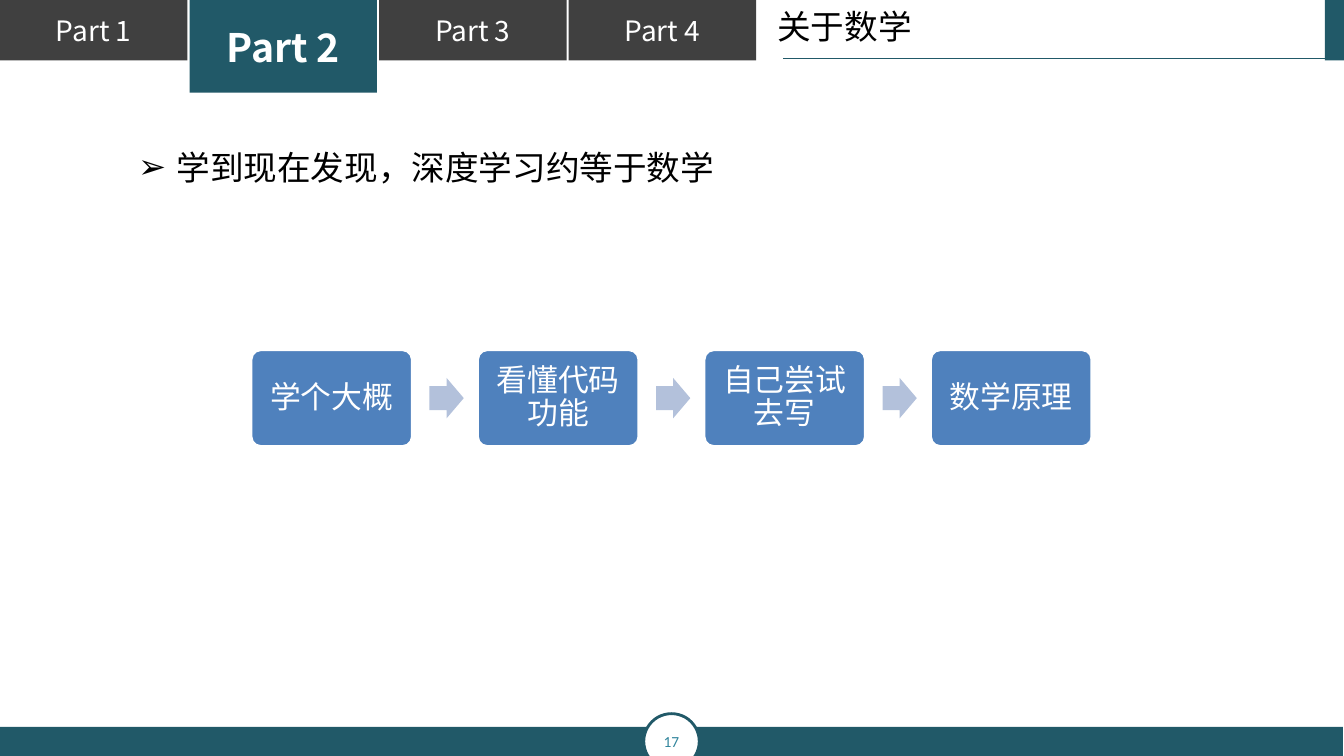
from lxml import etree
from pptx import Presentation
from pptx.dml.color import RGBColor
from pptx.enum.shapes import MSO_CONNECTOR, MSO_SHAPE
from pptx.enum.text import MSO_ANCHOR, MSO_AUTO_SIZE, PP_ALIGN
from pptx.oxml.ns import qn
from pptx.util import Inches, Pt

TEAL = RGBColor(0x21, 0x59, 0x68)
LIGHT_TEAL = RGBColor(0x31, 0x85, 0x9C)
DARK_GRAY = RGBColor(0x40, 0x40, 0x40)
BLUE = RGBColor(0x4F, 0x81, 0xBD)
PALE_BLUE = RGBColor(0xB3, 0xC1, 0xDB)
WHITE = RGBColor(0xFF, 0xFF, 0xFF)
BLACK = RGBColor(0x00, 0x00, 0x00)
CJK_FONT = "Noto Sans CJK SC"
LATIN_FONT = "Calibri"

PARTS = ["Part 1", "Part 2", "Part 3", "Part 4"]
CURRENT_PART = "Part 2"
STEPS = ["学个大概", "看懂代码功能", "自己尝试去写", "数学原理"]


def add_box(slide, kind, left, top, width, height, fill, line=None):
    shape = slide.shapes.add_shape(
        kind, Inches(left), Inches(top), Inches(width), Inches(height))
    shape.shadow.inherit = False
    shape.fill.solid()
    shape.fill.fore_color.rgb = fill
    if line is None:
        shape.line.fill.background()
    else:
        shape.line.color.rgb = line
        shape.line.width = Pt(2)
    return shape


def write(shape, text, size, color, font=LATIN_FONT, bold=False,
          align=PP_ALIGN.CENTER, anchor=MSO_ANCHOR.MIDDLE):
    """Put one formatted run into the shape and return its paragraph."""
    frame = shape.text_frame
    frame.word_wrap = True
    frame.auto_size = MSO_AUTO_SIZE.NONE
    frame.vertical_anchor = anchor
    paragraph = frame.paragraphs[0]
    paragraph.alignment = align
    paragraph.space_before = Pt(0)
    run = paragraph.add_run()
    run.text = text
    run.font.name = font
    run.font.size = Pt(size)
    run.font.bold = bold
    run.font.color.rgb = color
    east_asian = etree.SubElement(run.font._element, qn("a:ea"))
    east_asian.set("typeface", CJK_FONT)
    return paragraph


def place(shape, left, top, width, height):
    shape.left, shape.top = Inches(left), Inches(top)
    shape.width, shape.height = Inches(width), Inches(height)


def add_part_tabs(slide, left, top, step, height):
    for index, part in enumerate(PARTS):
        current = part == CURRENT_PART
        tab = add_box(slide, MSO_SHAPE.RECTANGLE, left + index * step, top,
                      step - 0.02, height + (0.32 if current else 0),
                      TEAL if current else DARK_GRAY)
        write(tab, part, 28 if current else 20, WHITE, CJK_FONT, current)


def add_title_bar(slide, left, top, width, height):
    right = left + width
    add_box(slide, MSO_SHAPE.RECTANGLE, right - 0.2, top, 0.2, height, TEAL)
    rule_y = Inches(top + height - 0.02)
    rule = slide.shapes.add_connector(
        MSO_CONNECTOR.STRAIGHT, Inches(right - 0.1), rule_y, Inches(left + 0.16), rule_y)
    rule.line.color.rgb = TEAL
    rule.line.width = Pt(0.75)
    etree.SubElement(rule._element.spPr, qn("a:effectLst"))
    title = slide.shapes.title
    place(title, left, top + 0.01, width - 0.22, 0.5)
    write(title, "关于数学", 24, BLACK, CJK_FONT,
          align=PP_ALIGN.LEFT, anchor=MSO_ANCHOR.TOP)


def add_statement(slide, left, top, width, height):
    body = slide.placeholders[1]
    place(body, left, top, width, height)
    paragraph = write(body, "学到现在发现，深度学习约等于数学", 24, BLACK,
                      align=PP_ALIGN.LEFT, anchor=MSO_ANCHOR.TOP)
    properties = paragraph._p.get_or_add_pPr()
    properties.set("marL", str(Inches(0.38)))
    properties.set("indent", str(Inches(-0.38)))
    etree.SubElement(properties, qn("a:buChar")).set("char", "➢")


def add_process(slide, left, top, width, height):
    """Spread the steps evenly over the width, with an arrow in each gap."""
    step_width, arrow_width, arrow_height = 1.6, 0.34, 0.4
    pitch = (width - step_width) / (len(STEPS) - 1)
    for index, text in enumerate(STEPS):
        x = left + index * pitch
        step = add_box(slide, MSO_SHAPE.ROUNDED_RECTANGLE, x, top,
                       step_width, height, BLUE, WHITE)
        step.adjustments[0] = 0.1
        frame = step.text_frame
        frame.margin_left = frame.margin_right = Inches(0.09)
        frame.margin_top = frame.margin_bottom = Inches(0.09)
        paragraph = write(step, text, 22, WHITE)
        paragraph.line_spacing = 0.9
        paragraph.space_after = Pt(7.7)
        if index < len(STEPS) - 1:
            arrow = add_box(slide, MSO_SHAPE.RIGHT_ARROW, x + step_width + 0.17,
                            top + (height - arrow_height) / 2,
                            arrow_width, arrow_height, PALE_BLUE)
            arrow.adjustments[0] = 0.6
            arrow.adjustments[1] = 0.5


def add_footer(slide, left, top, width, height):
    add_box(slide, MSO_SHAPE.RECTANGLE, left, top, width, height, TEAL)
    diameter = 0.55
    badge = add_box(slide, MSO_SHAPE.OVAL, left + (width - diameter) / 2,
                    top - 0.13, diameter, diameter, WHITE, TEAL)
    badge.text_frame.margin_left = badge.text_frame.margin_right = 0
    write(badge, "17", 11, LIGHT_TEAL)


def main():
    presentation = Presentation()
    presentation.slide_width = Inches(13.33)
    presentation.slide_height = Inches(7.5)
    slide = presentation.slides.add_slide(presentation.slide_layouts[1])
    add_part_tabs(slide, 0, 0, 1.88, 0.6)
    add_title_bar(slide, 7.61, 0, 5.73, 0.6)
    add_statement(slide, 1.27, 1.41, 8.74, 0.5)
    add_process(slide, 2.49, 3.47, 8.34, 0.96)
    add_footer(slide, 0, 7.21, 13.32, 0.29)
    presentation.save("out.pptx")


if __name__ == "__main__":
    main()
